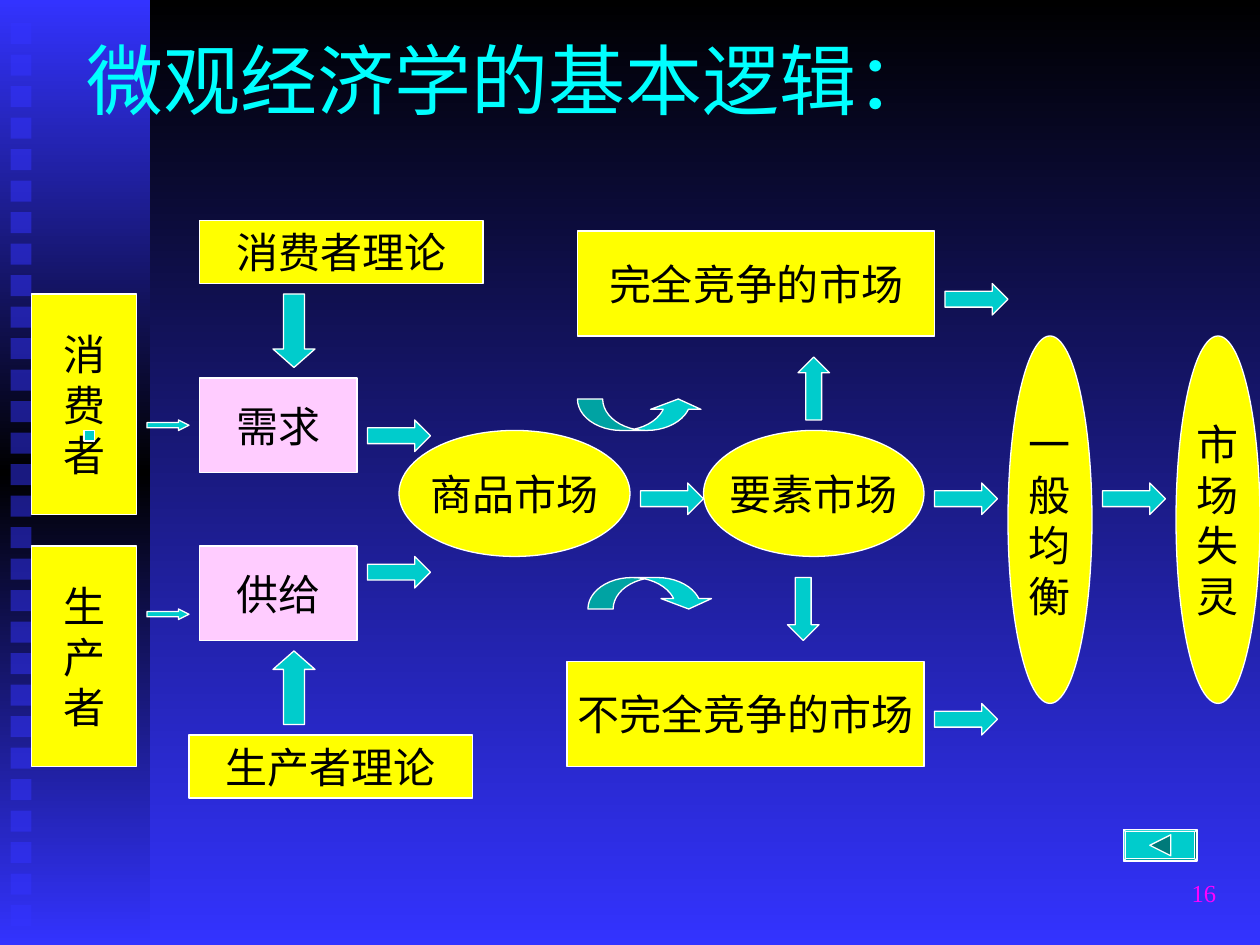
from copy import deepcopy

from lxml import etree
from pptx import Presentation
from pptx import util as u
from pptx.dml.color import RGBColor
from pptx.enum import shapes, text
from pptx.oxml.ns import qn

PX = u.Inches(1) // 120
KIND = shapes.MSO_SHAPE
ALIGN = text.PP_ALIGN
FONT = "Times New Roman"

BLACK = RGBColor(0x00, 0x00, 0x00)
WHITE = RGBColor(0xFF, 0xFF, 0xFF)
BLUE = RGBColor(0x33, 0x33, 0xFF)
YELLOW = RGBColor(0xFF, 0xFF, 0x00)
PINK = RGBColor(0xFF, 0xCC, 0xFF)
TEAL = RGBColor(0x00, 0xCC, 0xCC)
DARK_TEAL = RGBColor(0x00, 0x7A, 0x7A)
CYAN = RGBColor(0x00, 0xFF, 0xFF)
MAGENTA = RGBColor(0xFF, 0x00, 0xFF)


def emu(*lengths):
    return [length * PX for length in lengths]


def add_gradient(fill, element, colors):
    """Fill from top to bottom with evenly spaced colours."""
    fill.gradient()
    fill.gradient_angle = 270
    stops = element.xpath(".//a:gsLst")[0]
    for _ in colors[2:]:
        stops.append(deepcopy(stops[0]))
    for index, (stop, color) in enumerate(zip(fill.gradient_stops, colors)):
        stop.color.rgb = color
        stop.position = index / (len(colors) - 1)


def write(frame, lines, size, color, align):
    frame.vertical_anchor = text.MSO_ANCHOR.MIDDLE
    for index, line in enumerate(lines):
        para = frame.add_paragraph() if index else frame.paragraphs[0]
        para.alignment = align
        span = para.add_run()
        span.text = line
        span.font.name = FONT
        span.font.size = u.Pt(size)
        span.font.color.rgb = color


def add_block(page, kind, box, fill, lines=(), adjust=()):
    block = page.shapes.add_shape(kind, *emu(*box))
    block.shadow.inherit = False
    block.fill.solid()
    block.fill.fore_color.rgb = fill
    block.line.color.rgb = WHITE
    block.line.width = u.Pt(0.75)
    for index, value in enumerate(adjust):
        block.adjustments[index] = value
    if lines:
        block.text_frame.word_wrap = False
        write(block.text_frame, lines, 24, BLACK, ALIGN.CENTER)
    return block


def add_flow(page, left, top):
    """Arrow to the right between two stages."""
    add_block(page, KIND.RIGHT_ARROW, (left, top, 60, 30), TEAL)


def add_sidebar(page, left, top, width, height):
    panel = page.shapes.add_shape(KIND.RECTANGLE, *emu(left, top, width, height))
    panel.shadow.inherit = False
    panel.line.fill.background()
    add_gradient(panel.fill, panel._element, [BLUE, BLACK, BLUE])
    for row in range(29):
        box = emu(left + 10, top + 22 + 30 * row, 20, 20)
        square = page.shapes.add_shape(KIND.RECTANGLE, *box)
        square.shadow.inherit = False
        square.line.fill.background()
        square.fill.solid()
        square.fill.fore_color.rgb = BLUE
        color = square._element.xpath("./p:spPr/a:solidFill/a:srgbClr")[0]
        etree.SubElement(color, qn("a:alpha"), val="50000")


def add_title(page, left, top, width, height):
    title = page.shapes.title
    title.left, title.top, title.width, title.height = emu(left, top, width, height)
    title.text_frame.auto_size = text.MSO_AUTO_SIZE.NONE
    write(title.text_frame, ["微观经济学的基本逻辑："], 44, CYAN, ALIGN.LEFT)
    page.shapes._spTree.append(title._element)


def add_agents(page, left, top):
    """Consumers and producers, their theories, demand and supply."""
    rows = [
        ("消费者", 70, "需求", 150, 190, "消费者理论", 160, 0, KIND.DOWN_ARROW, 70),
        ("生产者", 310, "供给", 310, 370, "生产者理论", 150, 490, KIND.UP_ARROW, 410),
    ]
    for (agent, agent_y, side, side_y, thin_y,
         theory, theory_x, theory_y, arrow, arrow_y) in rows:
        add_block(page, KIND.RECTANGLE, (left, top + agent_y, 100, 210), YELLOW, agent)
        add_block(page, KIND.RIGHT_ARROW, (left + 110, top + thin_y, 40, 10), TEAL,
                  adjust=(0.5, 1))
        add_block(page, KIND.RECTANGLE, (left + 160, top + side_y, 150, 90), PINK, [side])
        add_block(page, KIND.RECTANGLE, (left + theory_x, top + theory_y, 270, 60),
                  YELLOW, [theory])
        add_block(page, arrow, (left + 230, top + arrow_y, 40, 70), TEAL,
                  adjust=(0.5, 0.44))
    add_block(page, KIND.RECTANGLE, (left + 50, top + 200, 10, 10), TEAL)


def add_markets(page, left, top):
    """Goods and factor markets with the two forms of competition."""
    add_block(page, KIND.OVAL, (left + 30, top + 190, 220, 120), YELLOW, ["商品市场"])
    add_block(page, KIND.OVAL, (left + 320, top + 190, 210, 120), YELLOW, ["要素市场"])
    add_block(page, KIND.RECTANGLE, (left + 200, top, 340, 100), YELLOW, ["完全竞争的市场"])
    add_block(page, KIND.RECTANGLE, (left + 190, top + 410, 340, 100), YELLOW,
              ["不完全竞争的市场"])
    curve = (0.8, 1.6, 0.33)
    add_block(page, KIND.CURVED_UP_ARROW, (left + 200, top + 160, 120, 30), TEAL,
              adjust=curve)
    add_block(page, KIND.CURVED_DOWN_ARROW, (left + 210, top + 330, 120, 30), TEAL,
              adjust=curve)
    add_block(page, KIND.UP_ARROW, (left + 410, top + 120, 30, 60), TEAL)
    add_block(page, KIND.DOWN_ARROW, (left + 400, top + 330, 30, 60), TEAL)
    for x, y in [(0, 180), (0, 310), (260, 240), (540, 240), (550, 50), (540, 450)]:
        add_flow(page, left + x, top + y)


def add_outcomes(page, left, top):
    for index, name in enumerate(["一般均衡", "市场失灵"]):
        add_block(page, KIND.OVAL, (left + 160 * index, top, 80, 350), YELLOW, name)
    add_flow(page, left + 90, top + 140)


def add_back_button(page, left, top):
    add_block(page, KIND.BEVEL, (left, top, 70, 30), TEAL, adjust=(0.07,))
    triangle = add_block(page, KIND.ISOSCELES_TRIANGLE, (left + 25, top + 5, 20, 20),
                         DARK_TEAL)
    triangle.rotation = 270


def add_page_number(page, left, top, width, height):
    box = page.shapes.add_textbox(*emu(left, top, width, height))
    box.text_frame.word_wrap = True
    write(box.text_frame, ["16"], 14, MAGENTA, ALIGN.RIGHT)


def main():
    deck = Presentation()
    deck.slide_width, deck.slide_height = emu(1200, 900)
    page = deck.slides.add_slide(deck.slide_layouts[5])
    add_gradient(page.background.fill, page._element, [BLACK, BLUE])
    add_sidebar(page, 0, 0, 143, 900)
    add_title(page, 70, 0, 1020, 150)
    add_agents(page, 30, 210)
    add_markets(page, 350, 220)
    add_outcomes(page, 960, 320)
    add_back_button(page, 1070, 790)
    add_page_number(page, 920, 820, 250, 60)
    deck.save("out.pptx")


if __name__ == "__main__":
    main()
